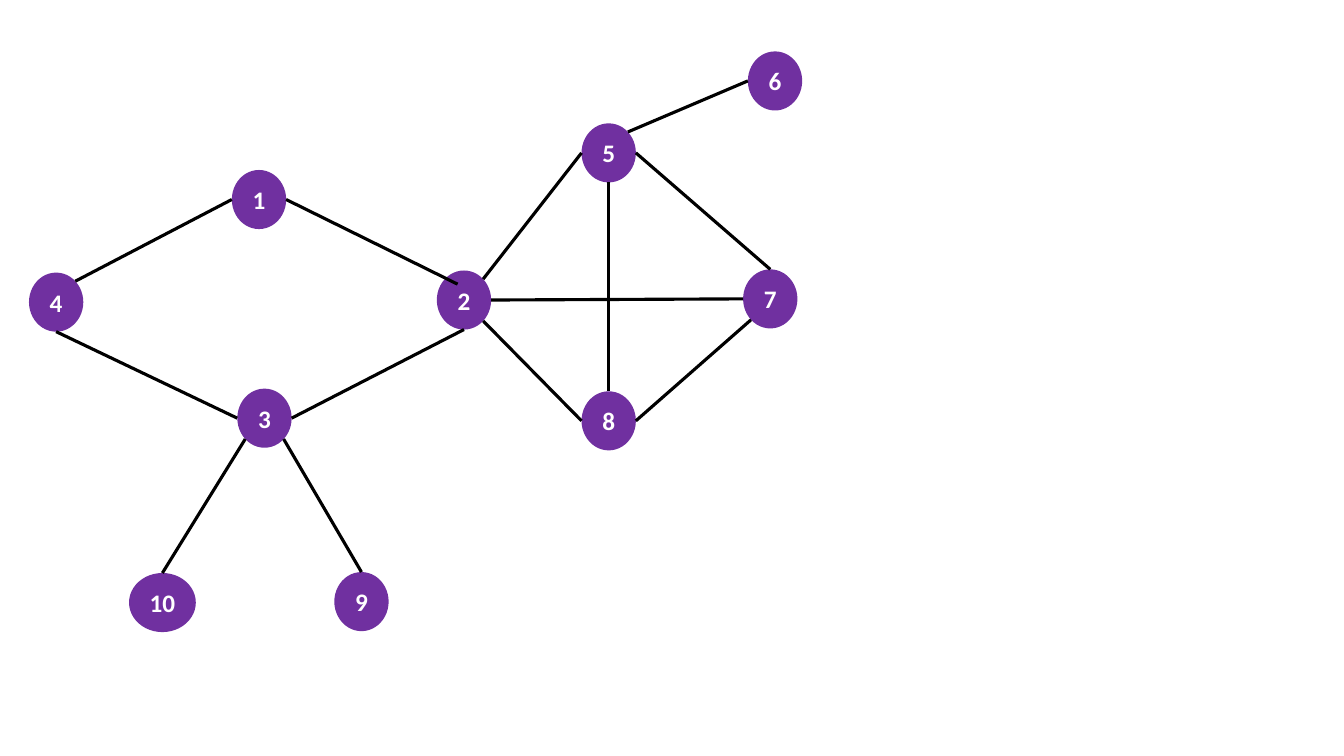
from dataclasses import dataclass
from math import cos, radians, sin

from lxml import etree
from pptx import Presentation
from pptx import util as u
from pptx.dml.color import RGBColor
from pptx.enum import shapes, text
from pptx.oxml import ns

# Connection sites of an ellipse, counted anticlockwise from the top
TOP, TOP_LEFT, LEFT, BOTTOM_LEFT, BOTTOM, BOTTOM_RIGHT, RIGHT, TOP_RIGHT = range(8)


@dataclass
class Theme:
    node: str = "7030A0"
    edge: str = "000000"
    label: str = "FFFFFF"
    font: str = "Calibri"
    label_size: float = 18
    edge_width: float = 2.25
    node_width: float = 38.8
    node_height: float = 42.2


# Label: centre x, centre y and, where it differs, width
NODES = {
    "1": (185, 142.5),
    "4": (40.1, 215.8),
    "2": (331.4, 214.3),
    "3": (188.9, 298.7),
    "10": (116, 430.4, 47.7),
    "9": (258.2, 429.7),
    "7": (550.2, 213.5),
    "5": (434.8, 109.2),
    "8": (434.8, 300.6),
    "6": (553.6, 57.8),
}

EDGES = [
    ("1", LEFT, "4", TOP_RIGHT),
    ("4", BOTTOM, "3", LEFT),
    ("2", BOTTOM, "3", RIGHT),
    ("3", BOTTOM_LEFT, "10", TOP),
    ("3", BOTTOM_RIGHT, "9", TOP),
    ("2", RIGHT, "7", LEFT),
    ("5", BOTTOM, "8", TOP),
    ("5", RIGHT, "7", TOP),
    ("5", LEFT, "2", TOP_RIGHT),
    ("7", BOTTOM_LEFT, "8", RIGHT),
    ("2", BOTTOM_RIGHT, "8", LEFT),
    ("6", LEFT, "5", TOP_RIGHT),
]


def site_point(sp, site):
    """Return the place of a connection site on the rim of an ellipse."""
    angle = radians(90 + 45 * site)
    x = sp.left + sp.width / 2 * (1 + cos(angle))
    y = sp.top + sp.height / 2 * (1 - sin(angle))
    return round(x), round(y)


class GraphSlide:
    def __init__(self, prs, theme):
        self.theme = theme
        self.s = prs.slides.add_slide(prs.slide_layouts[6])

    def node(self, label, x, y, width=None):
        t = self.theme
        w, h = width or t.node_width, t.node_height
        sp = self.s.shapes.add_shape(
            shapes.MSO_SHAPE.OVAL, u.Pt(x - w / 2), u.Pt(y - h / 2), u.Pt(w), u.Pt(h))
        sp.shadow.inherit = False
        sp.fill.solid()
        sp.fill.fore_color.rgb = RGBColor.from_string(t.node)
        sp.line.fill.background()
        self.put_text(sp.text_frame, label, size=t.label_size, color=t.label, bold=True)
        return sp

    def put_text(self, tf, words, size, color, bold=False):
        tf.word_wrap = False
        tf.vertical_anchor = text.MSO_ANCHOR.MIDDLE
        p = tf.paragraphs[0]
        p.alignment = text.PP_ALIGN.CENTER
        r = p.add_run()
        r.text = words
        r.font.name, r.font.size, r.font.bold = self.theme.font, u.Pt(size), bold
        r.font.color.rgb = RGBColor.from_string(color)

    def line(self, start, end):
        c = self.s.shapes.add_connector(shapes.MSO_CONNECTOR.STRAIGHT, *start, *end)
        c.line.color.rgb = RGBColor.from_string(self.theme.edge)
        c.line.width = u.Pt(self.theme.edge_width)
        etree.SubElement(c.element.spPr, ns.qn("a:effectLst"))
        return c

    def edge(self, first, first_site, second, second_site):
        """Join two ellipses, whose eight sites begin_connect cannot place."""
        start, end = site_point(first, first_site), site_point(second, second_site)
        c = self.line(start, end)
        c.begin_connect(first, 0)
        c.end_connect(second, 0)
        for tag, site in (("a:stCxn", first_site), ("a:endCxn", second_site)):
            c.element.find(".//" + ns.qn(tag)).set("idx", str(site))
        c.begin_x, c.begin_y = start
        c.end_x, c.end_y = end


def main():
    prs = Presentation()
    prs.slide_width, prs.slide_height = u.Pt(960), u.Pt(540)
    graph = GraphSlide(prs, Theme())
    nodes = {label: graph.node(label, *place) for label, place in NODES.items()}
    for first, first_site, second, second_site in EDGES:
        graph.edge(nodes[first], first_site, nodes[second], second_site)
    # The edge from 1 ends inside node 2, away from its sites
    graph.line(site_point(nodes["1"], RIGHT), (u.Pt(326.9), u.Pt(203)))
    prs.save("out.pptx")


if __name__ == "__main__":
    main()
